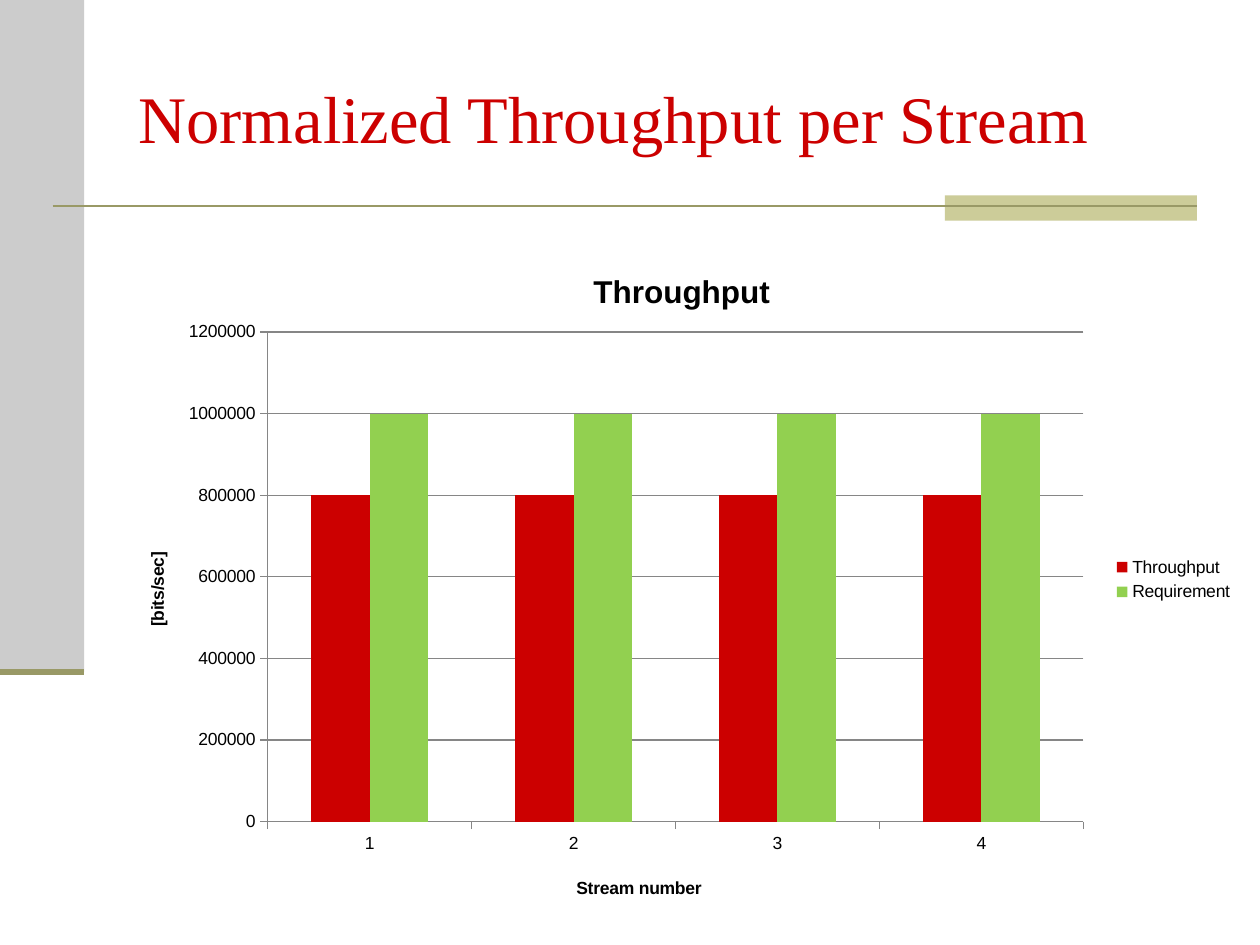
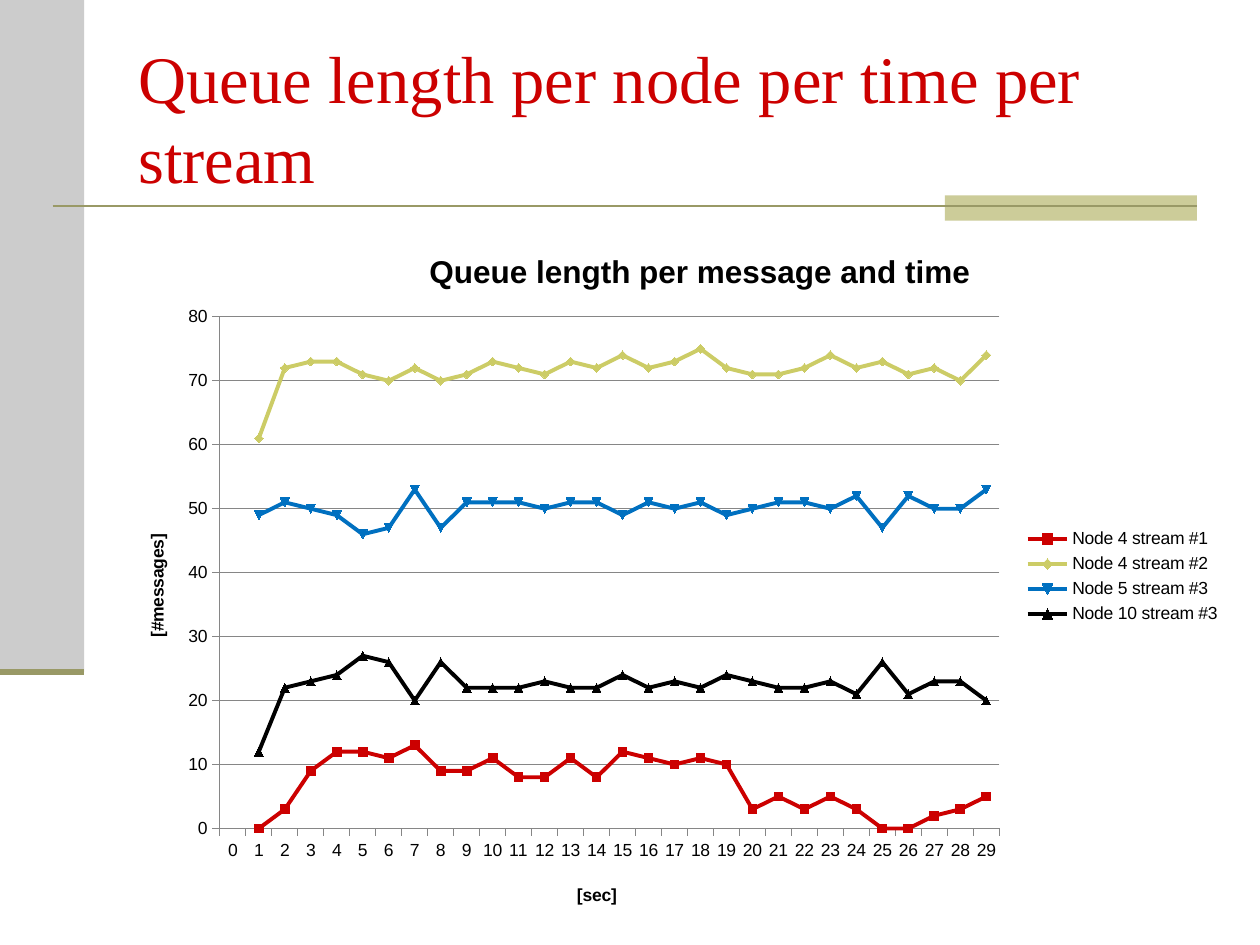
from lxml import etree
from pptx import Presentation
from pptx.chart.data import CategoryChartData
from pptx.dml.color import RGBColor
from pptx.enum.chart import XL_CHART_TYPE, XL_LEGEND_POSITION, XL_TICK_MARK
from pptx.enum.shapes import MSO_CONNECTOR, MSO_SHAPE
from pptx.enum.text import MSO_ANCHOR, PP_ALIGN
from pptx.oxml.ns import qn
from pptx.util import Cm, Pt

COLUMNS, LINES = XL_CHART_TYPE.COLUMN_CLUSTERED, XL_CHART_TYPE.LINE_MARKERS
LEGEND_RIGHT = XL_LEGEND_POSITION.RIGHT
TICK_OUT = XL_TICK_MARK.OUTSIDE
RECTANGLE, STRAIGHT = MSO_SHAPE.RECTANGLE, MSO_CONNECTOR.STRAIGHT
MIDDLE, LEFT = MSO_ANCHOR.MIDDLE, PP_ALIGN.LEFT

RED = RGBColor(0xCC, 0x00, 0x00)
GREEN = RGBColor(0x92, 0xD0, 0x50)
SAND = RGBColor(0xCC, 0xCC, 0x66)
BLUE = RGBColor(0x00, 0x70, 0xC0)
BLACK = RGBColor(0x00, 0x00, 0x00)
GRID_GREY = RGBColor(0x86, 0x86, 0x86)
SIDE_GREY = RGBColor(0xCC, 0xCC, 0xCC)
BAND_OLIVE = RGBColor(0xCC, 0xCC, 0x99)
RULE_OLIVE = RGBColor(0x99, 0x99, 0x66)
TITLE_FONT, CHART_FONT = "Times New Roman", "Arial"

# Shared frame: left, top, width, height and from x, y, to x, y, in cm
BLOCKS = [((0, 0, 1.7, 13.55), SIDE_GREY), ((19.05, 3.94, 5.08, 0.51), BAND_OLIVE)]
RULES = [((1.06, 4.15, 24.13, 4.15), 1.5), ((0, 13.55, 1.7, 13.55), 3.5)]

# Each slide; places inside the chart are fractions of its size
SLIDES = [
    dict(
        title="Normalized Throughput per Stream",
        kind=COLUMNS, frame=(2.31, 4.72, 22.71, 13.79),
        heading="Throughput", category_title="Stream number", value_title="[bits/sec]",
        maximum=1200000, step=200000, categories=range(1, 5),
        plot_at=(0.136, 0.143, 0.724, 0.716), legend_at=(0.88, 0.465, 0.12, 0.08),
        heading_at=(0.42, 0.045), category_at=(0.407, 0.935), value_at=(0.025, 0.46),
        series=[("Throughput", RED, [800000] * 4), ("Requirement", GREEN, [1000000] * 4)],
    ),
    dict(
        title="Queue length per node per time per stream",
        kind=LINES, frame=(2.31, 4.52, 22.58, 14.15),
        heading="Queue length per message and time",
        category_title="[sec]", value_title="[#messages]",
        maximum=80, step=10, categories=range(30),
        plot_at=(0.094, 0.132, 0.696, 0.729), legend_at=(0.81, 0.427, 0.18, 0.15),
        heading_at=(0.276, 0.03), category_at=(0.41, 0.935), value_at=(0.025, 0.437),
        series=[
            ("Node 4 stream #1", RED,
             [None, 0, 3, 9, 12, 12, 11, 13, 9, 9, 11, 8, 8, 11, 8,
              12, 11, 10, 11, 10, 3, 5, 3, 5, 3, 0, 0, 2, 3, 5]),
            ("Node 4 stream #2", SAND,
             [None, 61, 72, 73, 73, 71, 70, 72, 70, 71, 73, 72, 71, 73, 72,
              74, 72, 73, 75, 72, 71, 71, 72, 74, 72, 73, 71, 72, 70, 74]),
            ("Node 5 stream #3", BLUE,
             [None, 49, 51, 50, 49, 46, 47, 53, 47, 51, 51, 51, 50, 51, 51,
              49, 51, 50, 51, 49, 50, 51, 51, 50, 52, 47, 52, 50, 50, 53]),
            ("Node 10 stream #3", BLACK,
             [None, 12, 22, 23, 24, 27, 26, 20, 26, 22, 22, 22, 23, 22, 22,
              24, 22, 23, 22, 24, 23, 22, 22, 23, 21, 26, 21, 23, 23, 20]),
        ],
    ),
]


def place(element, position, fractions, inner=False):
    """Give a chart part a fixed place; position is where its layout belongs."""
    layout = element.find(qn("c:layout"))
    if layout is None:
        layout = etree.Element(qn("c:layout"))
        element.insert(position, layout)
    manual = etree.SubElement(layout, qn("c:manualLayout"))
    settings = [("layoutTarget", "inner")] if inner else []
    settings += [("xMode", "edge"), ("yMode", "edge")]
    settings += zip("xywh", fractions)
    for name, value in settings:
        etree.SubElement(manual, qn("c:" + name)).set("val", str(value))


def write_title(title, text, size, fractions):
    """Fill a chart or axis title and put it in its place."""
    para = title.text_frame.paragraphs[0]
    para.text = text
    para.font.name, para.font.size, para.font.bold = CHART_FONT, Pt(size), True
    para.font.color.rgb = BLACK
    place(title._element, 1, fractions)


deck = Presentation()
deck.slide_width, deck.slide_height = Cm(25.4), Cm(19.05)

for content in SLIDES:
    page = deck.slides.add_slide(deck.slide_layouts[6])

    # Side band, accent block and rules
    for frame, color in BLOCKS:
        block = page.shapes.add_shape(RECTANGLE, *map(Cm, frame))
        block.shadow.inherit = False
        block.fill.solid()
        block.fill.fore_color.rgb = color
        block.line.fill.background()
    for ends, width in RULES:
        rule = page.shapes.add_connector(STRAIGHT, *map(Cm, ends))
        rule.line.color.rgb = RULE_OLIVE
        rule.line.width = Pt(width)
        etree.SubElement(rule._element.spPr, qn("a:effectLst"))

    # Slide title
    box = page.shapes.add_textbox(Cm(2.54), Cm(0.76), Cm(21.59), Cm(3.18))
    box.text_frame.word_wrap = True
    box.text_frame.vertical_anchor = MIDDLE
    para = box.text_frame.paragraphs[0]
    para.text = content["title"]
    para.alignment = LEFT
    para.font.name, para.font.size = TITLE_FONT, Pt(38)
    para.font.color.rgb = RED

    # Chart and its data
    data = CategoryChartData()
    data.categories = [str(number) for number in content["categories"]]
    for name, color, values in content["series"]:
        data.add_series(name, values)
    chart = page.shapes.add_chart(content["kind"], *map(Cm, content["frame"]), data).chart
    chart.font.name, chart.font.size = CHART_FONT, Pt(10)
    chart.font.color.rgb = BLACK
    place(chart._chartSpace.chart.plotArea, 0, content["plot_at"], inner=True)

    # Titles and legend
    chart.has_title = True
    write_title(chart.chart_title, content["heading"], 18, content["heading_at"])
    write_title(chart.category_axis.axis_title, content["category_title"], 10,
                content["category_at"])
    value_title = chart.value_axis.axis_title
    write_title(value_title, content["value_title"], 10, content["value_at"])
    value_title.text_frame._txBody.bodyPr.set("rot", "-5400000")
    chart.has_legend = True
    chart.legend.position = LEGEND_RIGHT
    chart.legend.include_in_layout = False
    place(chart.legend._element, 1, content["legend_at"])

    # Axes
    for axis in (chart.category_axis, chart.value_axis):
        axis.major_tick_mark = TICK_OUT
        axis.format.line.color.rgb = GRID_GREY
        axis.format.line.width = Pt(0.75)
    scale = chart.value_axis
    scale.minimum_scale, scale.maximum_scale = 0, content["maximum"]
    scale.major_unit = content["step"]
    scale.major_gridlines.format.line.color.rgb = GRID_GREY
    scale.major_gridlines.format.line.width = Pt(0.75)

    # Series
    plot = chart.plots[0]
    plot.vary_by_categories = False
    if content["kind"] == COLUMNS:
        plot.gap_width, plot.overlap = 150, 0
    for series, (name, color, values) in zip(plot.series, content["series"]):
        if content["kind"] == COLUMNS:
            fills = [series.format.fill]
        else:
            series.smooth = False
            series.format.line.color.rgb = color
            series.format.line.width = Pt(2.25)
            series.marker.size = 5
            series.marker.format.line.color.rgb = color
            fills = [series.marker.format.fill]
        for fill in fills:
            fill.solid()
            fill.fore_color.rgb = color

deck.save("out.pptx")
